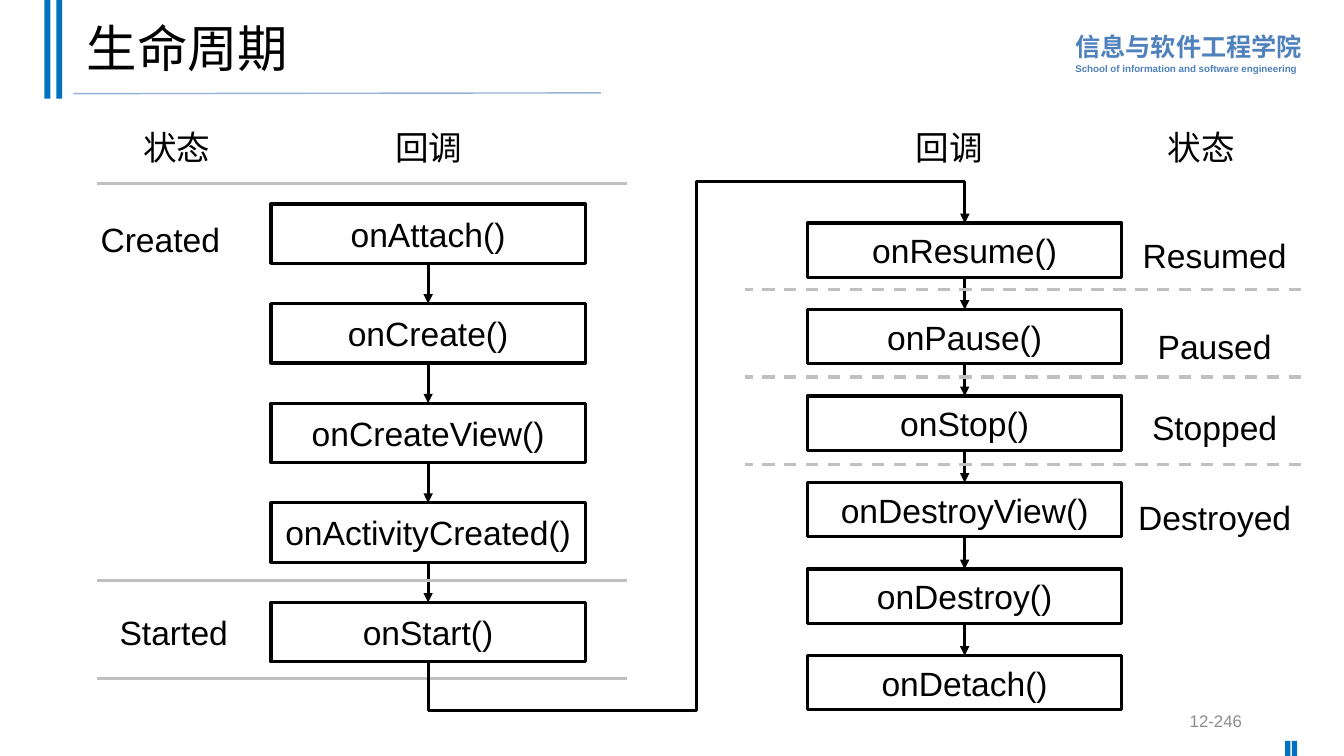
"""Build a slide that charts the fragment life cycle callbacks and their states."""
from dataclasses import dataclass

from lxml import etree
from pptx import Presentation
from pptx import util as u
from pptx.dml.color import RGBColor
from pptx.enum import dml, shapes, text
from pptx.oxml import ns


@dataclass(frozen=True)
class Theme:
    font: str = "Arial"
    black: str = "000000"
    bar: str = "0070C0"
    school: str = "4F81BD"
    underline: str = "95B3D7"
    rule: str = "C0C0C0"
    muted: str = "8C8C8C"
    title_size: float = 36
    body_size: float = 24
    school_size: float = 18
    number_size: float = 12
    subtitle_size: float = 7
    line_width: float = 2.25


theme = Theme()


def write(shape, content, size, color, align, spacing=None, bold=False):
    shape.text_frame.text = content
    for paragraph in shape.text_frame.paragraphs:
        paragraph.alignment = align
        paragraph.line_spacing = spacing
        for run in paragraph.runs:
            run.font.name = theme.font
            run.font.size = u.Pt(size)
            run.font.bold = bold
            run.font.color.rgb = RGBColor.from_string(color)


def draw_line(start, end, color, width=theme.line_width, arrow=False, dash=None,
              kind=shapes.MSO_CONNECTOR.STRAIGHT):
    connector = slide.shapes.add_connector(kind, *(u.Cm(value) for value in (*start, *end)))
    connector.line.color.rgb = RGBColor.from_string(color)
    connector.line.width = u.Pt(width)
    connector.line.dash_style = dash
    properties = connector._element.spPr
    if arrow:
        etree.SubElement(properties.find(ns.qn("a:ln")), ns.qn("a:tailEnd"), type="triangle")
    etree.SubElement(properties, ns.qn("a:effectLst"))
    return connector


presentation = Presentation()
presentation.slide_width, presentation.slide_height = u.Cm(33.87), u.Cm(19.05)
slide = presentation.slides.add_slide(presentation.slide_layouts[5])
left, center, right = text.PP_ALIGN.LEFT, text.PP_ALIGN.CENTER, text.PP_ALIGN.RIGHT

title = slide.shapes.title
title.left, title.top, title.width, title.height = u.Cm(1.93), u.Cm(0.18), u.Cm(29.2), u.Cm(2.24)
title.text_frame.vertical_anchor = text.MSO_ANCHOR.MIDDLE
write(title, "生命周期", theme.title_size, theme.black, left, 0.9)

school = slide.shapes.add_textbox(u.Cm(26.85), u.Cm(0.58), u.Cm(6.22), u.Cm(1.42))
write(school, "信息与软件工程学院\nSchool of information and software engineering",
      theme.school_size, theme.school, left, 1.1, True)
school.text_frame.paragraphs[1].runs[0].font.size = u.Pt(theme.subtitle_size)

for x, y, width, height in [(1.12, 0, 0.15, 2.49), (1.42, 0, 0.15, 2.49),
                            (32.39, 18.67, 0.13, 0.38), (32.56, 18.67, 0.13, 0.38)]:
    bar = slide.shapes.add_shape(shapes.MSO_SHAPE.RECTANGLE,
                                 u.Cm(x), u.Cm(y), u.Cm(width), u.Cm(height))
    bar.shadow.inherit = False
    bar.fill.solid()
    bar.fill.fore_color.rgb = RGBColor.from_string(theme.bar)
    bar.line.fill.background()
draw_line((1.85, 2.36), (15.14, 2.34), theme.underline, 1)

number = slide.shapes.add_textbox(u.Cm(23.93), u.Cm(17.65), u.Cm(7.62), u.Cm(1.02))
number.text_frame.word_wrap = True
number.text_frame.vertical_anchor = text.MSO_ANCHOR.MIDDLE
write(number, "12-246", theme.number_size, theme.muted, right)

box_width = 7.92
columns = [
    (6.83, 5.14, 2.51, 1.5,
     ["onAttach()", "onCreate()", "onCreateView()", "onActivityCreated()", "onStart()"]),
    (20.35, 5.62, 2.18, 1.37,
     ["onResume()", "onPause()", "onStop()", "onDestroyView()", "onDestroy()", "onDetach()"]),
]
for x, first_top, step, height, callbacks in columns:
    middle = x + box_width / 2
    for index, callback in enumerate(callbacks):
        top = first_top + index * step
        if index:
            draw_line((middle, top - step + height), (middle, top), theme.black, arrow=True)
        box = slide.shapes.add_shape(shapes.MSO_SHAPE.RECTANGLE,
                                     u.Cm(x), u.Cm(top), u.Cm(box_width), u.Cm(height))
        box.shadow.inherit = False
        box.fill.background()
        box.line.color.rgb = RGBColor.from_string(theme.black)
        box.line.width = u.Pt(theme.line_width)
        box.text_frame.word_wrap = False
        box.text_frame.vertical_anchor = text.MSO_ANCHOR.MIDDLE
        write(box, callback, theme.body_size, theme.black, center)

for y in (4.62, 14.63, 17.09):
    draw_line((2.44, y), (15.8, y), theme.rule)
for y in (7.29, 9.5, 11.71):
    draw_line((32.79, y), (18.77, y), theme.rule, dash=dml.MSO_LINE.DASH)

bridge = draw_line((23.08, 17.91), (12.03, 4.39), theme.black, arrow=True,
                   kind=shapes.MSO_CONNECTOR.ELBOW)
bridge._element.spPr.find(ns.qn("a:xfrm")).set("rot", "5400000")
geometry = bridge._element.spPr.find(ns.qn("a:prstGeom"))
geometry.set("prst", "bentConnector5")
adjustments = geometry.find(ns.qn("a:avLst"))
for name, value in [("adj1", -11200), ("adj2", 50000), ("adj3", 109500)]:
    etree.SubElement(adjustments, ns.qn("a:gd"), name=name, fmla=f"val {value}")

labels = [
    ("状态", 2.77, 2.97, 3.38), ("回调", 9.12, 2.97, 3.38),
    ("回调", 22.23, 2.97, 3.38), ("状态", 28.58, 2.97, 3.38),
    ("Created", 1.93, 5.28, 4.22), ("Started", 2.69, 15.19, 3.38),
    ("Resumed", 28.4, 5.69, 4.42), ("Paused", 28.4, 7.98, 4.42),
    ("Stopped", 28.4, 10.03, 4.42), ("Destroyed", 28.4, 12.29, 4.42),
]
for content, x, y, width in labels:
    label = slide.shapes.add_textbox(u.Cm(x), u.Cm(y), u.Cm(width), u.Cm(1.2))
    label.text_frame.word_wrap = True
    label.text_frame.auto_size = text.MSO_AUTO_SIZE.SHAPE_TO_FIT_TEXT
    write(label, content, theme.body_size, theme.black, center, 1.1)

presentation.save("out.pptx")
